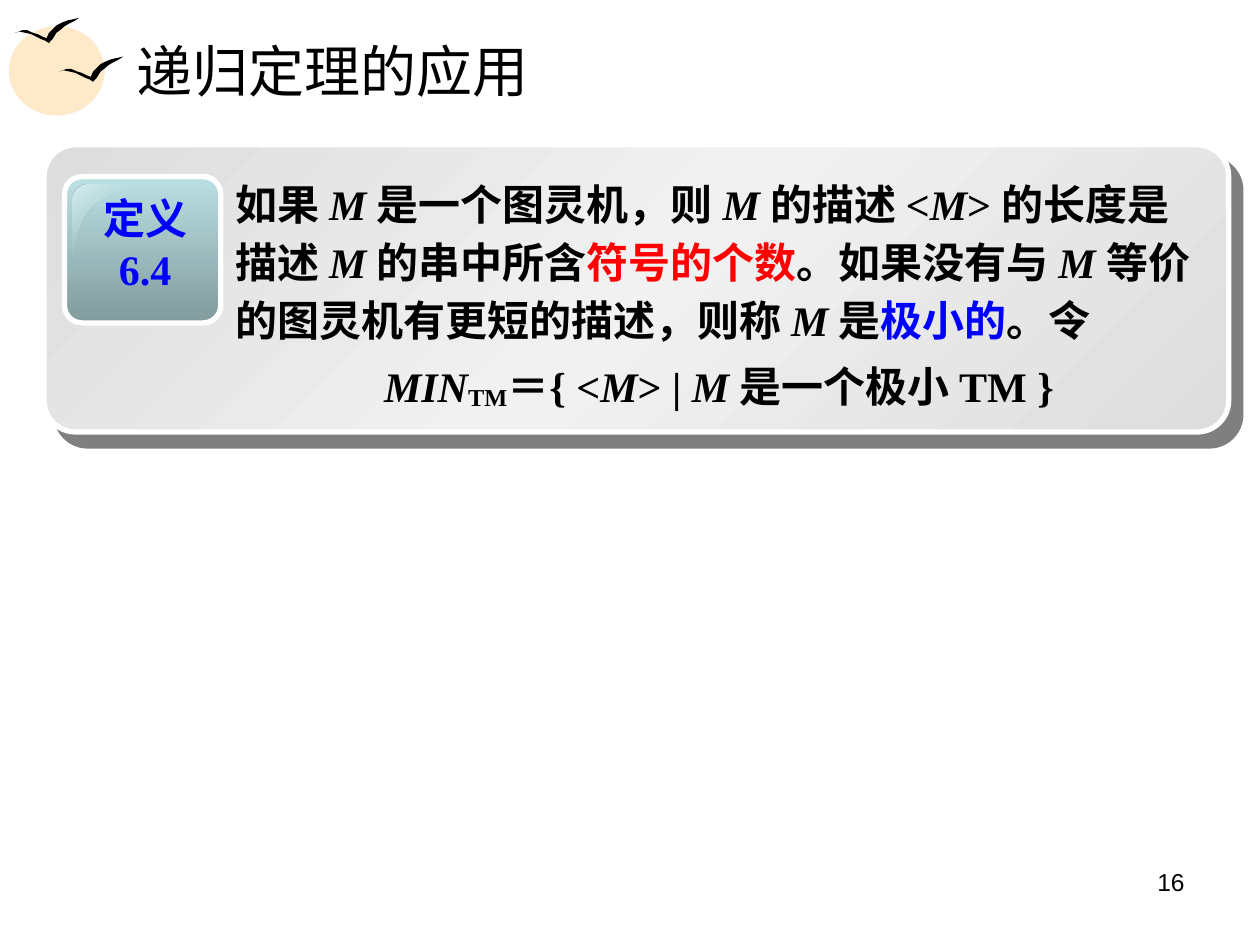
from lxml.etree import SubElement
from pptx import Presentation
from pptx.dml.color import RGBColor
from pptx.enum.shapes import MSO_SHAPE as Preset
from pptx.enum.text import MSO_ANCHOR as Anchor, MSO_AUTO_SIZE as AutoSize, PP_ALIGN as Align
from pptx.oxml.ns import qn
from pptx.util import Cm, Pt

BLACK = RGBColor(0x00, 0x00, 0x00)
WHITE = RGBColor(0xFF, 0xFF, 0xFF)
RED = RGBColor(0xFF, 0x00, 0x00)
BLUE = RGBColor(0x00, 0x00, 0xFF)
SUN = RGBColor(0xFE, 0xE9, 0xC8)
SILVER = RGBColor(0xDD, 0xDD, 0xDD)
PEARL = RGBColor(0xF1, 0xF1, 0xF1)
TEAL = RGBColor(0xBB, 0xE0, 0xE3)
DARK_TEAL = RGBColor(0x82, 0x9B, 0x9D)
PALE_TEAL = RGBColor(0xD9, 0xED, 0xEE)
SERIF = "Times New Roman"


def set_gradient(shape, angle, stops):
    shape.fill.gradient()
    shape.fill.gradient_angle = angle
    stop_list = shape._element.spPr.find(qn("a:gradFill")).find(qn("a:gsLst"))
    for old_stop in list(stop_list):
        stop_list.remove(old_stop)
    for position, color, opacity in stops:
        stop = SubElement(stop_list, qn("a:gs"), pos=str(position * 1000))
        value = SubElement(stop, qn("a:srgbClr"), val=str(color))
        if opacity < 100:
            SubElement(value, qn("a:alpha"), val=str(opacity * 1000))


def add_span(para, text, size, color=BLACK, italic=False, bold=True, name=SERIF):
    span = para.add_run()
    span.text = text
    span.font.size = Pt(size)
    span.font.name = name
    span.font.bold = bold
    span.font.italic = italic
    span.font.color.rgb = color
    return span


deck = Presentation()
deck.slide_width, deck.slide_height = Cm(25.4), Cm(19.05)
page = deck.slides.add_slide(deck.slide_layouts[5])
shapes = page.shapes

for left, top, width, height in [(0.18, 0.53, 1.93, 1.8), (0.51, 0.71, 1.6, 1.4)]:
    sun = shapes.add_shape(Preset.OVAL, Cm(left), Cm(top), Cm(width), Cm(height))
    sun.shadow.inherit = False
    sun.fill.solid()
    sun.fill.fore_color.rgb = SUN
    sun.line.fill.background()

bird_outline = [
    (0, 30), (8, 28), (15, 25), (25, 25), (36, 30), (46, 33), (56, 38), (64, 41),
    (69, 30), (76, 23), (84, 15), (94, 10), (107, 5), (117, 3), (130, 0),
    (117, 8), (107, 13), (99, 18), (91, 25), (84, 30), (76, 43), (71, 48), (69, 51),
    (61, 46), (53, 43), (43, 38), (33, 33), (20, 30), (10, 28),
]
for left, top in [(1.19, 1.14), (0.3, 0.36)]:
    builder = shapes.build_freeform(*bird_outline[0], scale=Cm(0.01))
    builder.add_line_segments(bird_outline[1:], close=True)
    bird = builder.convert_to_shape(Cm(left), Cm(top))
    bird.shadow.inherit = False
    bird.fill.solid()
    bird.fill.fore_color.rgb = BLACK
    bird.line.fill.background()

title = shapes.title
title.left, title.top, title.width, title.height = Cm(2.49), Cm(0.53), Cm(21.67), Cm(1.75)
title.text_frame.auto_size = AutoSize.NONE
title.text_frame.vertical_anchor = Anchor.MIDDLE
title_para = title.text_frame.paragraphs[0]
title_para.alignment = Align.LEFT
add_span(title_para, "递归定理的应用", 32, bold=False)

card = shapes.add_shape(Preset.ROUNDED_RECTANGLE, Cm(0.89), Cm(2.92), Cm(23.88), Cm(5.79))
card.adjustments[0] = 0.11
set_gradient(card, 135, [(0, SILVER, 100), (50, PEARL, 100), (100, SILVER, 100)])
badge = shapes.add_shape(Preset.ROUNDED_RECTANGLE, Cm(1.3), Cm(3.56), Cm(3.15), Cm(2.95))
badge.adjustments[0] = 0.12
set_gradient(badge, 270, [(0, TEAL, 100), (100, DARK_TEAL, 100)])
for panel in (card, badge):
    panel.shadow.inherit = False
    panel.line.color.rgb = WHITE
    panel.line.width = Pt(3)
effects = card._element.spPr.find(qn("a:effectLst"))
shadow = SubElement(effects, qn("a:outerShdw"), blurRad="0", dist=str(Pt(10.6)),
                    dir=str(49 * 60000), algn="ctr", rotWithShape="0")
shadow_color = SubElement(shadow, qn("a:srgbClr"), val=str(BLACK))
SubElement(shadow_color, qn("a:alpha"), val="50000")

gloss_curves = [
    [(33, 0), (15, 0), (0, 13), (0, 30)],
    [(0, 147), (8, 147), (5, 76), (43, 43)],
    [(43, 43), (81, 10), (157, 8), (155, 0)],
]
gloss_outline = []
for curve in gloss_curves:
    for step in range(13):
        t = step / 12
        weights = ((1 - t) ** 3, 3 * t * (1 - t) ** 2, 3 * t * t * (1 - t), t ** 3)
        gloss_outline.append(tuple(
            sum(weight * point[axis] for weight, point in zip(weights, curve))
            for axis in (0, 1)))
builder = shapes.build_freeform(*gloss_outline[0], scale=Cm(0.01))
builder.add_line_segments(gloss_outline[1:], close=True)
gloss = builder.convert_to_shape(Cm(1.47), Cm(3.73))
gloss.shadow.inherit = False
gloss.line.fill.background()
set_gradient(gloss, 135, [(0, PALE_TEAL, 100), (50, TEAL, 0), (100, PALE_TEAL, 100)])

label = shapes.add_textbox(Cm(1.73), Cm(3.76), Cm(2.39), Cm(2.29))
label.text_frame.word_wrap = True
label.text_frame.text = "定义\n6.4"
for para in label.text_frame.paragraphs:
    para.alignment = Align.CENTER
    span = para.runs[0]
    span.font.size, span.font.name, span.font.bold = Pt(24), SERIF, True
    span.font.color.rgb = BLUE

definition = shapes.add_textbox(Cm(4.5), Cm(3.33), Cm(19.99), Cm(5.11))
definition.text_frame.word_wrap = True
statement = definition.text_frame.paragraphs[0]
formula = definition.text_frame.add_paragraph()
formula.alignment = Align.CENTER
formula.space_before = Pt(4.5)
statement.line_spacing = formula.line_spacing = 1.15
for text, color in [
    ("如果 ", BLACK), ("M ", BLACK), ("是一个图灵机，则 ", BLACK), ("M ", BLACK),
    ("的描述 <", BLACK), ("M", BLACK), ("> 的长度是描述 ", BLACK), ("M ", BLACK),
    ("的串中所含", BLACK), ("符号的个数", RED), ("。如果没有与 ", BLACK), ("M ", BLACK),
    ("等价的图灵机有更短的描述，则称 ", BLACK), ("M ", BLACK), ("是", BLACK),
    ("极小的", BLUE), ("。令", BLACK),
]:
    add_span(statement, text, 24, color, italic=text.strip() == "M")
for text in ["MIN", "TM", "＝{ <", "M", "> | ", "M ", "是一个极小 TM }"]:
    span = add_span(formula, text, 24, italic=text.strip() in ("MIN", "M"))
    if text == "TM":
        span.font._element.set("baseline", "-10000")

number = shapes.add_textbox(Cm(18.21), Cm(17.35), Cm(5.92), Cm(1.32))
number.text_frame.word_wrap = True
number_para = number.text_frame.paragraphs[0]
number_para.alignment = Align.RIGHT
add_span(number_para, "16", 14, bold=False, name="Arial")

deck.save("out.pptx")
